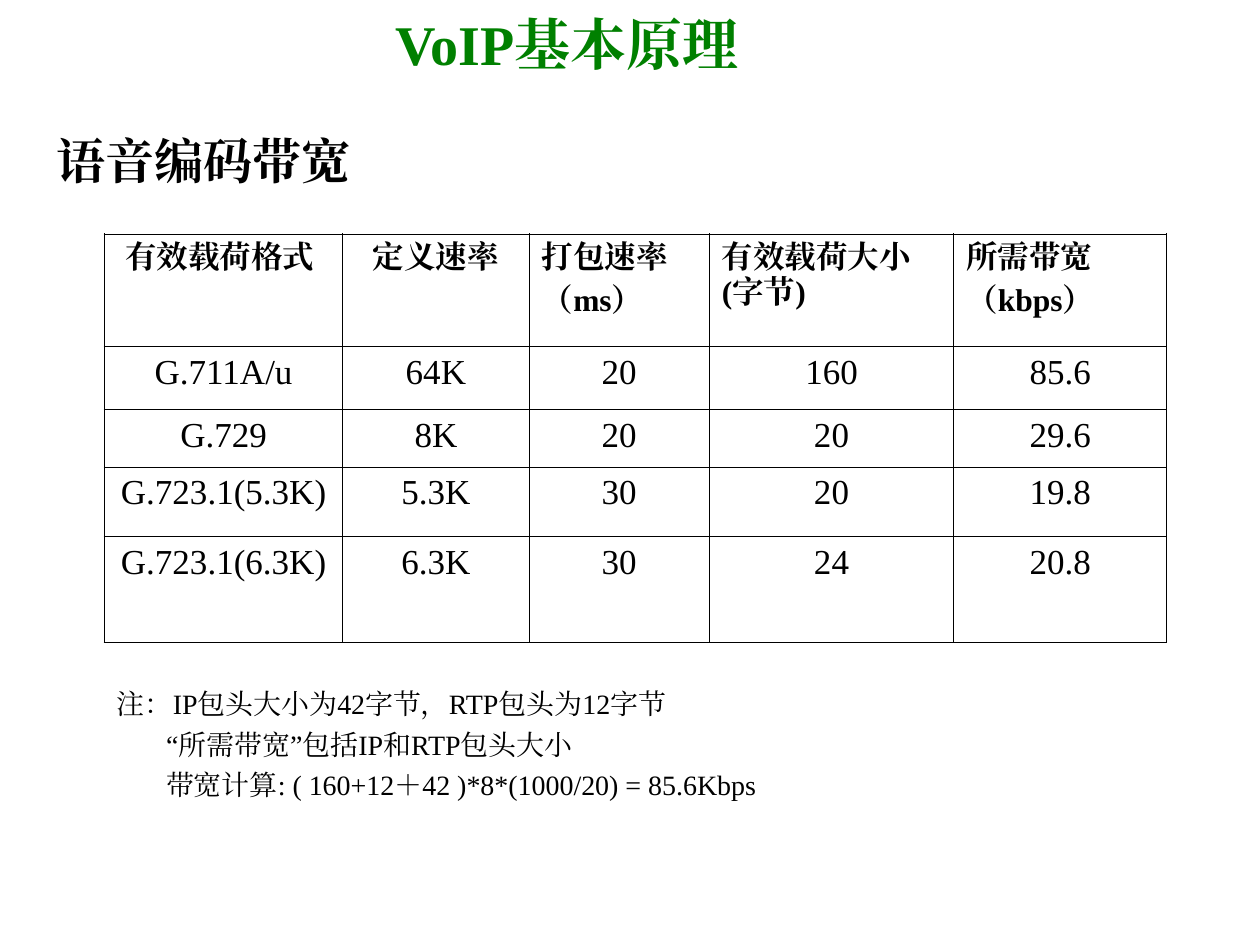
import pptx
import pptx.util
import pptx.dml.color
import pptx.enum.text
import pptx.oxml
import pptx.oxml.ns
from lxml import etree

Inches, Pt = pptx.util.Inches, pptx.util.Pt
Align, Anchor = pptx.enum.text.PP_ALIGN, pptx.enum.text.MSO_ANCHOR
qn = pptx.oxml.ns.qn
FACE = "Times New Roman"


def paint(code):
    return pptx.dml.color.RGBColor.from_string(code)


def write(frame, lines, size, gap=0, align=Align.LEFT, bold=False, color="000000"):
    frame.word_wrap = True
    for i, line in enumerate(lines):
        para = frame.paragraphs[0] if i == 0 else frame.add_paragraph()
        para.alignment = align
        para.space_before = Pt(gap if i else 0)
        run = para.add_run()
        run.text = line
        font = run.font
        font.size, font.bold, font.name = Pt(size), bold, FACE
        font.color.rgb = paint(color)
        etree.SubElement(run._r.get_or_add_rPr(), qn("a:ea"), typeface=FACE)


deck = pptx.Presentation()
deck.slide_width, deck.slide_height = Inches(10), Inches(7.5)
slide = deck.slides.add_slide(deck.slide_layouts[6])
shapes = slide.shapes

title = shapes.add_textbox(Inches(0), Inches(0), Inches(9), Inches(0.69)).text_frame
title.vertical_anchor = Anchor.MIDDLE
write(title, ["VoIP基本原理"], 32, align=Align.CENTER, bold=True, color="008000")

topic = shapes.add_textbox(Inches(0.35), Inches(0.99), Inches(4.42), Inches(0.66)).text_frame
write(topic, ["语音编码带宽"], 28, bold=True)

widths = [1.89, 1.48, 1.43, 1.94, 1.69]
heights = [0.89, 0.5, 0.46, 0.55, 0.84]
data = [
    ["有效载荷格式 ", "定义速率", "打包速率\n（ms）", "有效载荷大小(字节)", "所需带宽\n（kbps）"],
    ["G.711A/u", "64K", "20", "160", "85.6"],
    ["G.729", "8K", "20", "20", "29.6"],
    ["G.723.1(5.3K)", "5.3K", "30", "20", "19.8"],
    ["G.723.1(6.3K)", "6.3K", "30", "24", "20.8"],
]
rows, cols = len(data), len(widths)
grid = shapes.add_table(rows, cols, Inches(0.83), Inches(1.86),
                        Inches(sum(widths)), Inches(sum(heights))).table
grid.first_row = grid.horz_banding = False
for col, width in zip(grid.columns, widths):
    col.width = Inches(width)
for row, height in zip(grid.rows, heights):
    row.height = Inches(height)

for r, texts in enumerate(data):
    for c, text in enumerate(texts):
        cell = grid.cell(r, c)
        head = r == 0
        align = Align.LEFT if head and c > 1 else Align.CENTER
        write(cell.text_frame, text.split("\n"), 18 if head else 20, 4.5, align, head)
        props = cell._tc.get_or_add_tcPr()
        edges = {"L": c == 0, "R": c == cols - 1, "T": r == 0, "B": r == rows - 1}
        for side, outer in edges.items():
            line = etree.SubElement(props, qn("a:ln" + side), w=str(Pt(1.08 if outer else 0.45)))
            fill = etree.SubElement(line, qn("a:solidFill"))
            etree.SubElement(fill, qn("a:srgbClr"), val="000000")
        cell.fill.background()

notes = shapes.add_textbox(Inches(0.83), Inches(5.4), Inches(8.43), Inches(1.18)).text_frame
write(notes, [
    "注：IP包头大小为42字节，RTP包头为12字节",
    "“所需带宽”包括IP和RTP包头大小",
    "带宽计算: ( 160+12＋42 )*8*(1000/20) = 85.6Kbps",
], 16, 4)
for para in notes.paragraphs[1:]:
    para._p.get_or_add_pPr().set("marL", str(Inches(0.39)))

deck.save("out.pptx")
